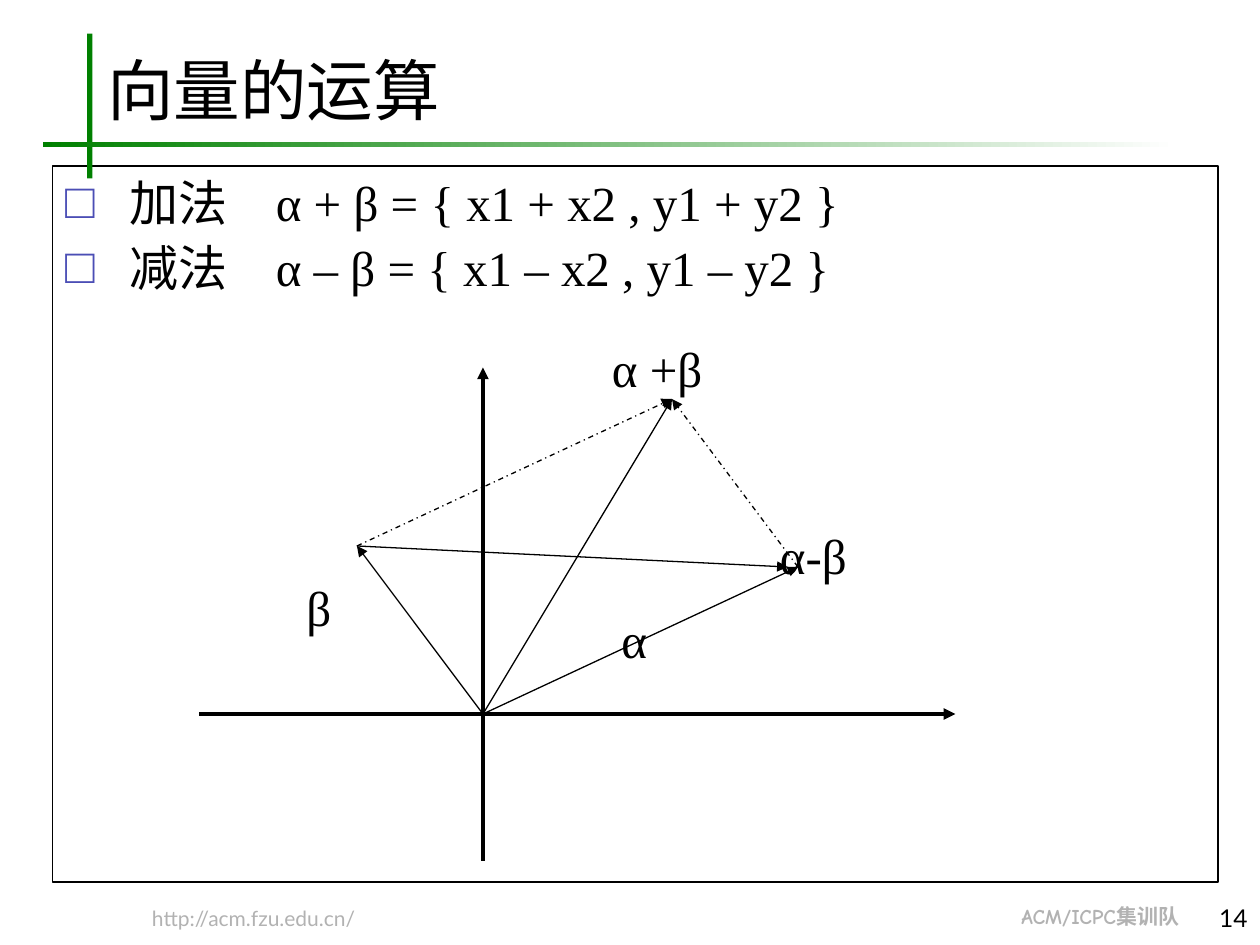
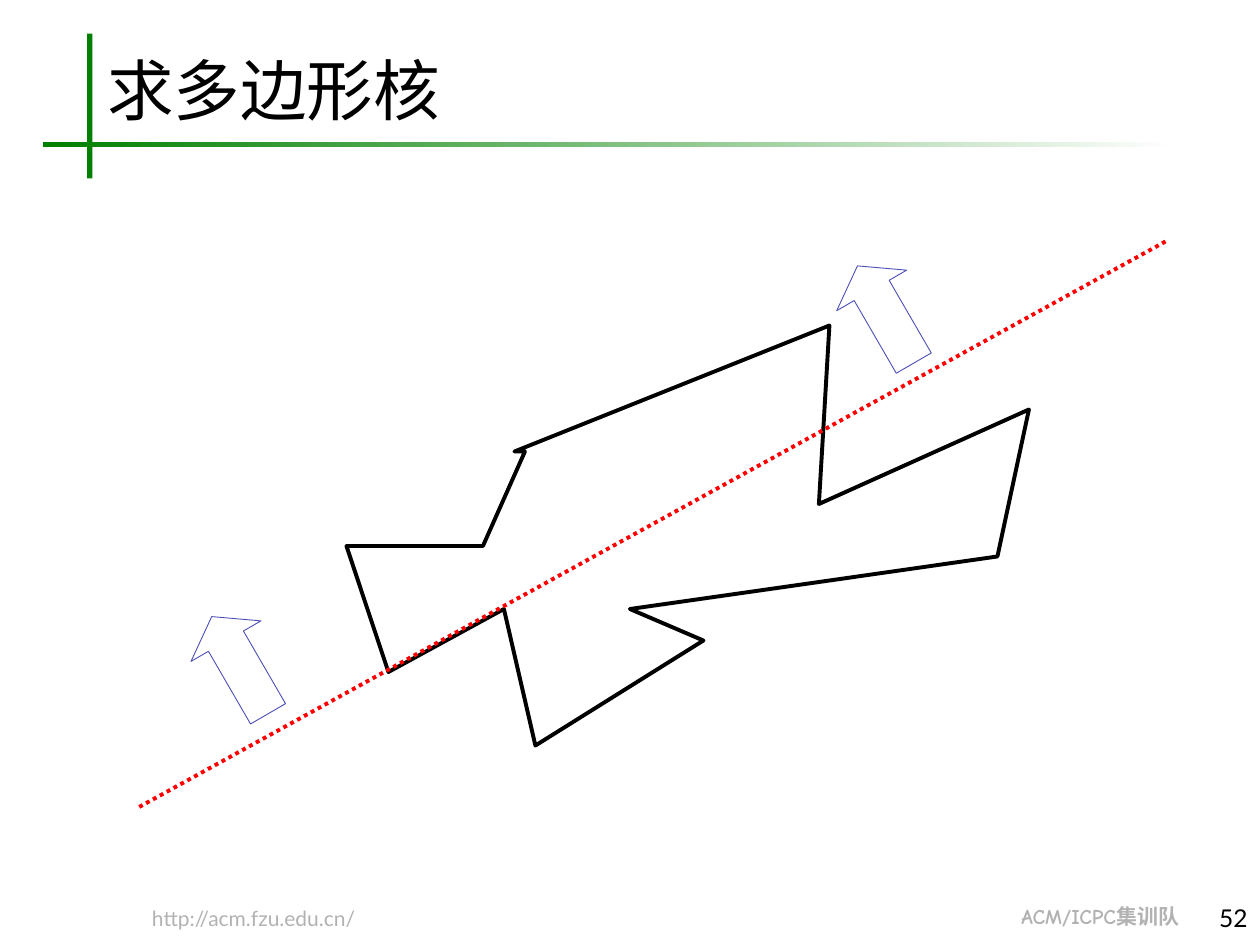
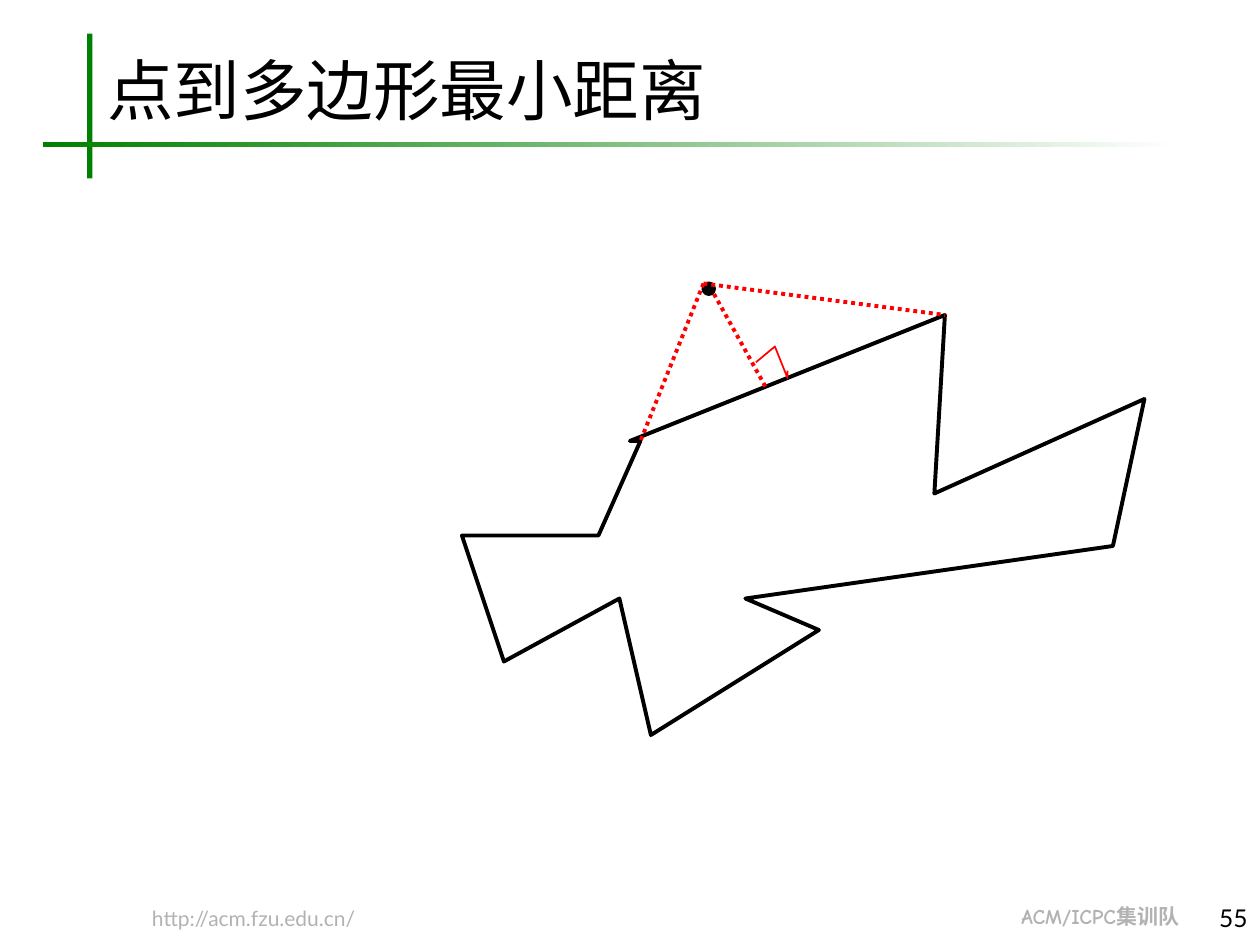
"""Three geometry lecture slides: vectors, polygon kernel, point to polygon."""
from dataclasses import dataclass

from lxml import etree
from pptx import Presentation
from pptx.dml.color import RGBColor
from pptx.enum.dml import MSO_LINE
from pptx.enum.shapes import MSO_CONNECTOR, MSO_SHAPE
from pptx.enum.text import MSO_ANCHOR, MSO_AUTO_SIZE, PP_ALIGN
from pptx.oxml.ns import qn
from pptx.util import Pt

PX = 7620
RECT, OVAL, UP_ARROW = MSO_SHAPE.RECTANGLE, MSO_SHAPE.OVAL, MSO_SHAPE.UP_ARROW
STRAIGHT = MSO_CONNECTOR.STRAIGHT
DOT, DASH_DOT = MSO_LINE.ROUND_DOT, MSO_LINE.DASH_DOT
TOP, BOTTOM = MSO_ANCHOR.TOP, MSO_ANCHOR.BOTTOM
LEFT, RIGHT = PP_ALIGN.LEFT, PP_ALIGN.RIGHT
NO_FIT = MSO_AUTO_SIZE.NONE
TITLE_AND_BODY, TITLE_ONLY = 1, 5


@dataclass(frozen=True)
class Theme:
    """Colours, fonts, type sizes and line widths of the deck."""
    ink: str = "000000"
    paper: str = "FFFFFF"
    green: str = "008000"
    grey: str = "B2B2B2"
    violet: str = "4B4EB5"
    red: str = "FF0000"
    serif: str = "Times New Roman"
    sans: str = "Lato"
    comic: str = "Comic Neue"
    title: int = 38
    body: int = 28
    number: int = 14
    footer: int = 12
    thick: float = 2.25
    medium: float = 1
    thin: float = 0.75
    hair: float = 0.5


T = Theme()
POLYGON = [(500, 430), (460, 520), (330, 520), (370, 640), (480, 580),
           (510, 710), (670, 610), (600, 580), (950, 530), (980, 390),
           (780, 480), (790, 310), (490, 430)]


def rgb(color):
    """Turn a hex string into a colour."""
    return RGBColor.from_string(color)


def emu(*lengths):
    """Turn px lengths into EMU."""
    return [n * PX for n in lengths]


def place(sp, box):
    """Move and size a shape to a px box."""
    sp.left, sp.top, sp.width, sp.height = emu(*box)


def stroke(line, color, width, dash=None):
    """Set colour, width and dash of a line."""
    line.color.rgb = rgb(color)
    line.width = Pt(width)
    if dash:
        line.dash_style = dash


def setup_frame(tf, anchor=TOP, pad=6):
    """Set wrapping, anchor and insets of a text frame."""
    tf.auto_size = NO_FIT
    tf.word_wrap = True
    tf.vertical_anchor = anchor
    tf.margin_left, tf.margin_right = emu(12, 12)
    tf.margin_top, tf.margin_bottom = emu(pad, pad)


def add_run(p, text, size, font, color=T.ink, bold=False):
    """Add one formatted run to a paragraph."""
    r = p.add_run()
    r.text = text
    r.font.size, r.font.name, r.font.bold = Pt(size), font, bold
    r.font.color.rgb = rgb(color)


def add_label(s, box, text, size=T.body, font=T.serif, color=T.ink, bold=False):
    """Add a tight one-line text box."""
    tf = s.shapes.add_textbox(*emu(*box)).text_frame
    setup_frame(tf, pad=1)
    p = tf.paragraphs[0]
    p.line_spacing = 0.8
    add_run(p, text, size, font, color, bold)


def add_number(s, number):
    """Add the slide number in the lower right corner."""
    tf = s.shapes.add_textbox(*emu(1120, 854, 80, 40)).text_frame
    setup_frame(tf, BOTTOM)
    p = tf.paragraphs[0]
    p.alignment = RIGHT
    add_run(p, str(number), T.number, T.sans)


def add_shape(s, kind, box, fill=None, line=None, width=T.thick):
    """Add a preset shape with optional fill and line."""
    sp = s.shapes.add_shape(kind, *emu(*box))
    sp.shadow.inherit = False
    if fill:
        sp.fill.solid()
        sp.fill.fore_color.rgb = rgb(fill)
    else:
        sp.fill.background()
    if line:
        stroke(sp.line, line, width)
    else:
        sp.line.fill.background()
    return sp


def add_line(s, start, end, color=T.ink, width=T.thin, dash=None, arrow=False):
    """Add a straight line, with an arrowhead at its end if asked."""
    c = s.shapes.add_connector(STRAIGHT, *emu(*start, *end))
    stroke(c.line, color, width, dash)
    sp_pr = c._element.spPr
    if arrow:
        etree.SubElement(sp_pr.find(qn("a:ln")), qn("a:tailEnd"), type="triangle")
    etree.SubElement(sp_pr, qn("a:effectLst"))


def add_path(s, points, color, width, close=False):
    """Add an unfilled outline through px points."""
    builder = s.shapes.build_freeform(*points[0], scale=PX)
    builder.add_line_segments(points[1:], close=close)
    sp = builder.convert_to_shape()
    sp.shadow.inherit = False
    sp.fill.background()
    stroke(sp.line, color, width)


def add_polygon(s, dx=0, dy=0):
    """Add the sample polygon, shifted by dx and dy."""
    points = [(x + dx, y + dy) for x, y in POLYGON]
    add_path(s, points, T.ink, T.thick, close=True)


def add_side_arrow(s, left, top):
    """Add a block arrow that shows the kept side of a cutting line."""
    sp = add_shape(s, UP_ARROW, (left, top, 77, 107), line=T.violet, width=T.hair)
    sp.adjustments[0], sp.adjustments[1] = 0.5, 0.351
    sp.rotation = 329.9


def add_bullets(s, items):
    """Fill the framed body placeholder with a bullet list."""
    body = s.placeholders[1]
    place(body, (50, 158, 1110, 682))
    stroke(body.line, T.ink, T.medium)
    tf = body.text_frame
    setup_frame(tf)
    for i, item in enumerate(items):
        p = tf.add_paragraph() if i else tf.paragraphs[0]
        p_pr = p._p.get_or_add_pPr()
        p_pr.set("marL", str(61 * PX))
        p_pr.set("indent", str(-61 * PX))
        bu_clr = etree.SubElement(p_pr, qn("a:buClr"))
        etree.SubElement(bu_clr, qn("a:srgbClr"), val=T.violet)
        etree.SubElement(p_pr, qn("a:buChar"), char="□")
        p.space_before = Pt(3.5 if i else 0)
        add_run(p, item, T.body, T.serif)


def add_slide(prs, layout, title, number):
    """Add a slide with title, green cross, footers and number."""
    s = prs.slides.add_slide(prs.slide_layouts[layout])
    add_shape(s, RECT, (83, 32, 5, 138), fill=T.green)
    band = add_shape(s, RECT, (41, 135, 1080, 5), fill=T.green)
    band.fill.gradient()
    band.fill.gradient_angle = 0
    for stop, color in zip(band.fill.gradient_stops, (T.green, T.paper)):
        stop.color.rgb = rgb(color)
    add_label(s, (133, 866, 310, 22), "http://acm.fzu.edu.cn/",
              T.footer, T.sans, T.grey)
    add_label(s, (961, 864, 200, 22), "ACM/ICPC集训队",
              T.footer, T.comic, T.grey, bold=True)
    place(s.shapes.title, (90, 40, 1070, 89))
    tf = s.shapes.title.text_frame
    setup_frame(tf, BOTTOM)
    p = tf.paragraphs[0]
    p.alignment = LEFT
    add_run(p, title, T.title, T.serif)
    add_number(s, number)
    return s


def build_vectors(prs):
    """Build the slide on adding and subtracting vectors."""
    s = add_slide(prs, TITLE_AND_BODY, "向量的运算", 14)
    add_bullets(s, ["加法　α + β = { x1 + x2 , y1 + y2 }",
                    "减法　α – β = { x1 – x2 , y1 – y2 }"])
    origin, alpha, beta, total = (460, 680), (760, 540), (340, 520), (640, 380)
    for start, end in (((190, 680), (910, 680)), ((460, 820), (460, 350))):
        add_line(s, start, end, width=T.thick, arrow=True)
    for tip in (beta, alpha, total):
        add_line(s, origin, tip, arrow=True)
    for start in (beta, alpha):
        add_line(s, start, total, dash=DASH_DOT, arrow=True)
    add_line(s, beta, (750, 540), arrow=True)
    for left, top, text in ((280, 560, "β"), (580, 590, "α"),
                            (571, 332, "α +β"), (731, 510, "α-β")):
        add_label(s, (left, top, 200, 48), text)


def build_kernel(prs):
    """Build the slide on the kernel of a polygon."""
    s = add_slide(prs, TITLE_ONLY, "求多边形核", 52)
    add_polygon(s)
    add_line(s, (1110, 230), (130, 770), T.red, T.thick, DOT)
    add_side_arrow(s, 805, 246)
    add_side_arrow(s, 190, 580)


def build_distance(prs):
    """Build the slide on the distance from a point to a polygon."""
    s = add_slide(prs, TITLE_ONLY, "点到多边形最小距离", 55)
    add_polygon(s, 110, -10)
    add_shape(s, OVAL, (670, 270, 10, 10), fill=T.ink, line=T.ink)
    for start, end in (((670, 270), (610, 420)), ((670, 270), (900, 300)),
                       ((680, 280), (730, 370))):
        add_line(s, start, end, T.red, T.thick, DOT)
    right_angle = [(720, 345), (738, 330), (750, 360), (750, 353)]
    add_path(s, right_angle, T.red, T.medium)


def main():
    """Build and save the deck."""
    prs = Presentation()
    prs.slide_width, prs.slide_height = emu(1200, 900)
    build_vectors(prs)
    build_kernel(prs)
    build_distance(prs)
    prs.save("out.pptx")


if __name__ == "__main__":
    main()
